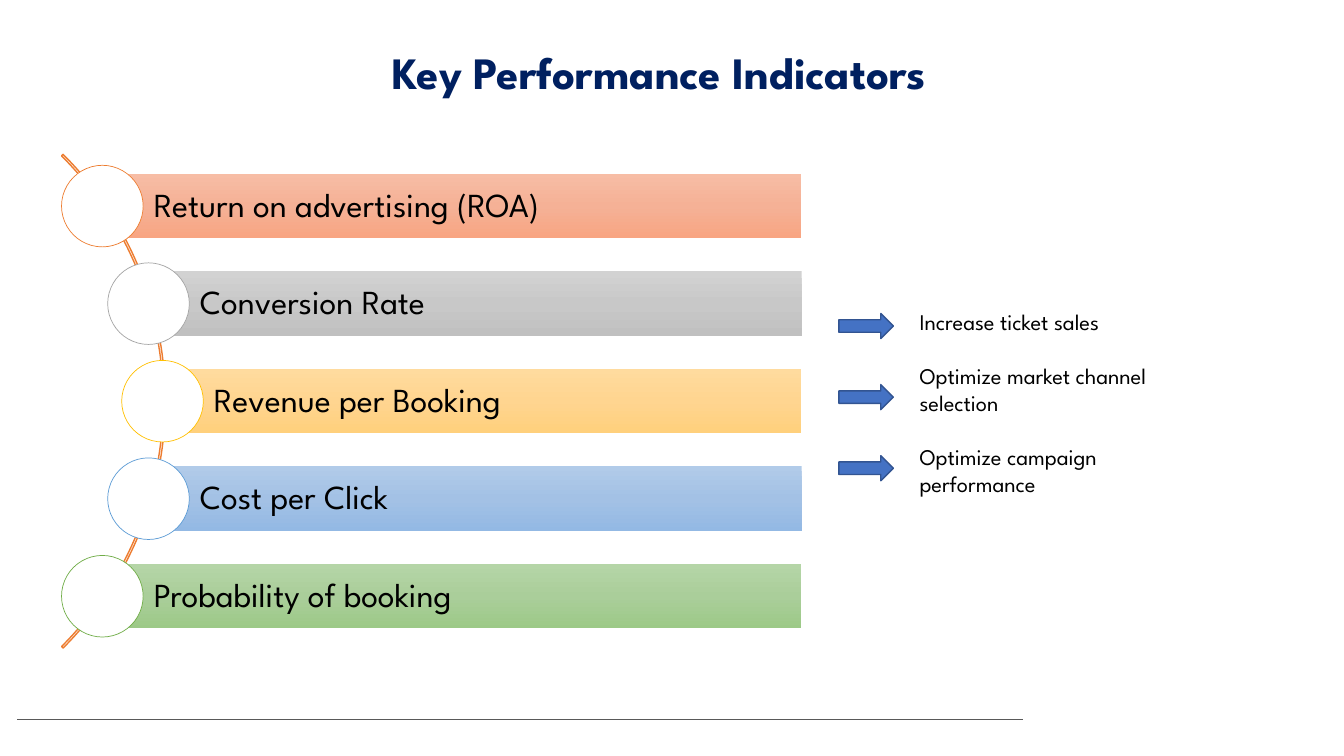
import dataclasses
import math

import lxml.etree
import pptx
import pptx.dml.color
import pptx.enum.shapes
import pptx.enum.text
import pptx.oxml
import pptx.oxml.ns
import pptx.util

SHAPE = pptx.enum.shapes.MSO_SHAPE
ALIGN = pptx.enum.text.PP_ALIGN
ANCHOR = pptx.enum.text.MSO_ANCHOR


@dataclasses.dataclass(frozen=True)
class Theme:
    font: str = "League Spartan"
    title_size: int = 32
    indicator_size: int = 24
    goal_size: int = 16
    title: str = "002060"
    text: str = "000000"
    white: str = "FFFFFF"
    spine: str = "ED7D31"
    arrow: str = "4472C4"
    arrow_edge: str = "325491"
    footer: str = "595959"
    hairline: float = 0.5
    outline: float = 1


@dataclasses.dataclass(frozen=True)
class Box:
    left: float
    top: float
    width: float
    height: float

    def share(self, left, top, width, height):
        return Box(self.left + self.width * left / 100, self.top + self.height * top / 100,
                   self.width * width / 100, self.height * height / 100)

    def emu(self):
        return [pptx.util.Inches(v) for v in (self.left, self.top, self.width, self.height)]


THEME = Theme()
PAGE = Box(0, 0, 13.33, 7.5)

INDICATORS = [
    ("Return on advertising (ROA)", "ED7D31", ("F7BDA5", "F5B196", "F8A582")),
    ("Conversion Rate", "A5A5A5", ("D2D2D2", "C8C8C8", "C0C0C0")),
    ("Revenue per Booking", "FFC000", ("FFDB9E", "FFD590", "FFD07C")),
    ("Cost per Click", "5B9BD5", ("B1CBE9", "A3C1E5", "93B9E4")),
    ("Probability of booking", "70AD47", ("B5D5A7", "AACE9A", "9CC987")),
]
GOALS = ["Increase ticket sales", "Optimize market channel selection",
         "Optimize campaign performance"]


def rgb(color):
    return pptx.dml.color.RGBColor.from_string(color)


def write(shape, *lines, size, color=THEME.text, bold=False, align=ALIGN.LEFT,
          anchor=ANCHOR.TOP, inset=0.1, spacing=None, gap=0):
    frame = shape.text_frame
    frame.word_wrap = True
    frame.vertical_anchor = anchor
    frame.margin_left = pptx.util.Inches(inset)
    for index, line in enumerate(lines):
        paragraph = frame.add_paragraph() if index else frame.paragraphs[0]
        run = paragraph.add_run()
        run.text = line
        paragraph.alignment = align
        if spacing:
            paragraph.line_spacing = spacing
        if index:
            paragraph.space_before = pptx.util.Pt(gap)
        run.font.name = THEME.font
        run.font.size = pptx.util.Pt(size)
        run.font.bold = bold
        run.font.color.rgb = rgb(color)


def draw(slide, kind, box, fill=None, edge=None, weight=THEME.outline):
    shape = slide.shapes.add_shape(kind, *box.emu())
    shape.shadow.inherit = False
    if fill:
        shape.fill.solid()
        shape.fill.fore_color.rgb = rgb(fill)
    else:
        shape.fill.background()
    if edge:
        shape.line.color.rgb = rgb(edge)
        shape.line.width = pptx.util.Pt(weight)
    else:
        shape.line.fill.background()
    return shape


def shade(shape, colors):
    stops = "".join(
        f'<a:gs pos="{index * 50000}"><a:srgbClr val="{color}"/></a:gs>'
        for index, color in enumerate(colors))
    gradient = pptx.oxml.parse_xml(
        f'<a:gradFill {pptx.oxml.ns.nsdecls("a")} rotWithShape="1">'
        f'<a:gsLst>{stops}</a:gsLst><a:lin ang="5400000" scaled="0"/></a:gradFill>')
    properties = shape.element.spPr
    plain = properties.find(pptx.oxml.ns.qn("a:noFill"))
    properties.replace(plain, gradient)


def add_title(slide, box):
    heading = slide.shapes.add_textbox(*box.emu())
    write(heading, "Key Performance Indicators", size=THEME.title_size, color=THEME.title,
          bold=True, align=ALIGN.CENTER, inset=box.width * 0.08, spacing=1.07)


def add_indicators(slide, box):
    disc = box.height * 0.173
    bar_height = disc * 0.79
    pitch = (box.height - disc) / (len(INDICATORS) - 1)
    middle = box.top + box.height / 2
    hub = box.left - box.height * 0.52
    radius = box.height * 0.74
    orbit = math.hypot(box.left + disc / 2 - hub, box.height / 2 - disc / 2)

    spine = draw(slide, SHAPE.BLOCK_ARC,
                 Box(hub - radius, middle - radius, 2 * radius, 2 * radius), edge=THEME.spine)
    for index, value in enumerate((189, 27, 0.0031)):
        spine.adjustments[index] = value

    for index, (label, edge, colors) in enumerate(INDICATORS):
        offset = (index - (len(INDICATORS) - 1) / 2) * pitch
        x = hub + math.sqrt(orbit ** 2 - offset ** 2)
        y = middle + offset
        bar = draw(slide, SHAPE.RECTANGLE,
                   Box(x, y - bar_height / 2, box.left + box.width - x, bar_height))
        shade(bar, colors)
        write(bar, label, size=THEME.indicator_size, anchor=ANCHOR.MIDDLE,
              inset=disc * 0.63, spacing=0.9)
        draw(slide, SHAPE.OVAL, Box(x - disc / 2, y - disc / 2, disc, disc),
             THEME.white, edge, THEME.hairline)


def add_goals(slide, box):
    goals = slide.shapes.add_textbox(*box.emu())
    write(goals, *GOALS, size=THEME.goal_size, inset=box.width * 0.275, gap=19.3)


def add_arrows(slide, box):
    height = 15
    pitch = (100 - height) / (len(GOALS) - 1)
    for index in range(len(GOALS)):
        draw(slide, SHAPE.RIGHT_ARROW, box.share(0, index * pitch, 100, height),
             THEME.arrow, THEME.arrow_edge)


def add_footer(slide, box):
    left, top, width, _ = box.emu()
    rule = slide.shapes.add_connector(pptx.enum.shapes.MSO_CONNECTOR.STRAIGHT,
                                      left, top, left + width, top)
    rule.line.color.rgb = rgb(THEME.footer)
    rule.line.width = pptx.util.Pt(THEME.hairline)
    lxml.etree.SubElement(rule.element.spPr, pptx.oxml.ns.qn("a:effectLst"))


def main():
    deck = pptx.Presentation()
    deck.slide_width = pptx.util.Inches(PAGE.width)
    deck.slide_height = pptx.util.Inches(PAGE.height)
    slide = deck.slides.add_slide(deck.slide_layouts[6])
    add_title(slide, PAGE.share(20.56, 4.8, 53.49, 8.4))
    add_goals(slide, PAGE.share(60.17, 40.13, 30, 30))
    add_footer(slide, PAGE.share(1.28, 95.2, 74.87, 0))
    add_indicators(slide, PAGE.share(4.58, 21.87, 55.06, 62.4))
    add_arrows(slide, PAGE.share(62.42, 41.47, 4.05, 22.13))
    deck.save("out.pptx")


if __name__ == "__main__":
    main()
